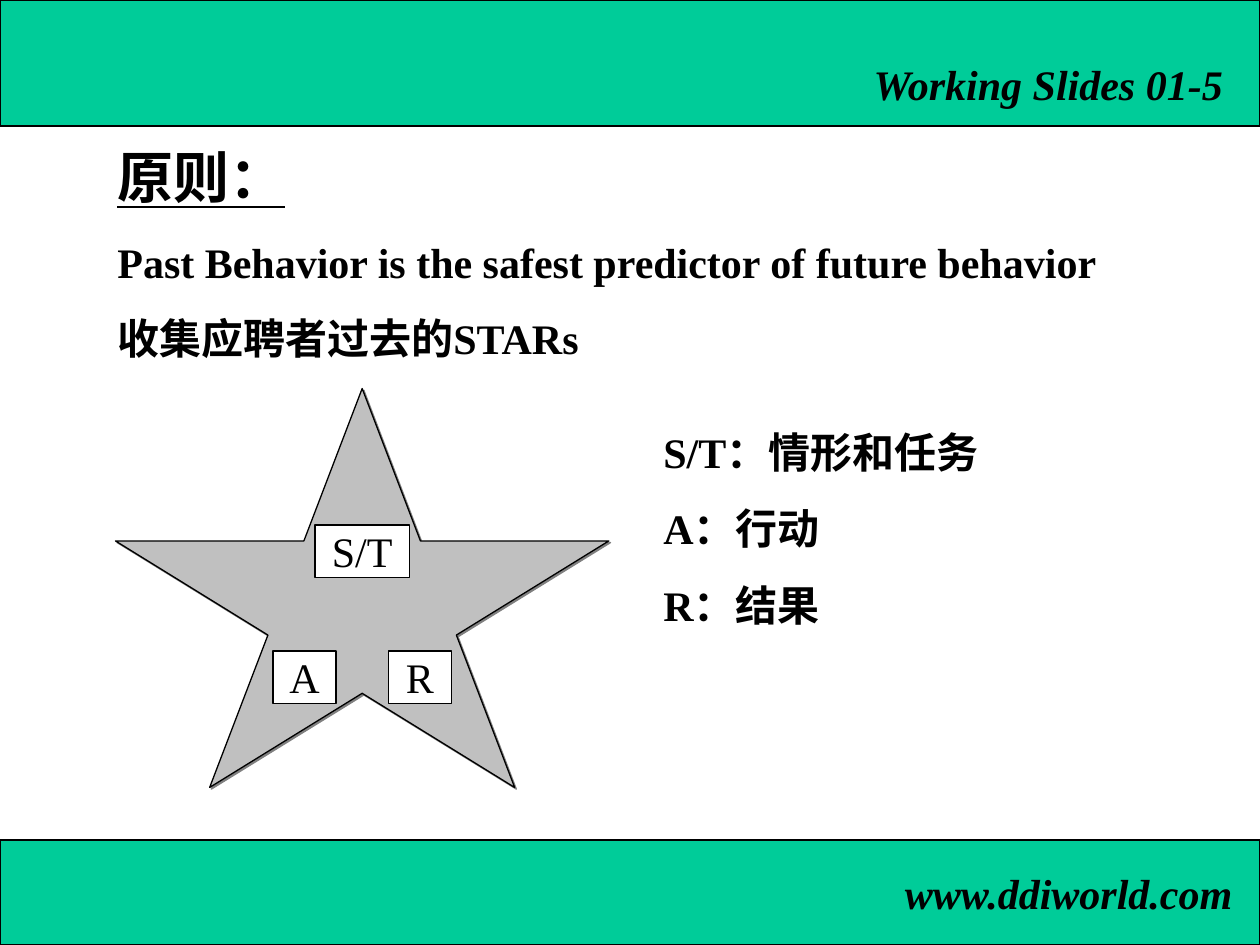
from lxml import etree
from pptx import Presentation
from pptx.dml.color import RGBColor
from pptx.enum import shapes, text
from pptx.oxml import ns
from pptx.util import Pt

GREEN = RGBColor(0x00, 0xCC, 0x99)
SILVER = RGBColor(0xC0, 0xC0, 0xC0)
WHITE = RGBColor(0xFF, 0xFF, 0xFF)
BLACK = RGBColor(0x00, 0x00, 0x00)
SHADOW_GRAY = RGBColor(0x80, 0x80, 0x80)

TYPEFACE = "Times New Roman"
BASE = {"name": TYPEFACE, "size": Pt(24), "bold": False}
STRONG = {**BASE, "bold": True}
BANNER = {**STRONG, "italic": True}
HEADING = {**STRONG, "size": Pt(32), "underline": True}


def set_attributes(target, values):
    for name, value in values.items():
        setattr(target, name, value)


def place(part, box):
    set_attributes(part, dict(zip(("left", "top", "width", "height"), map(Pt, box))))


def add_figure(slide, kind, box, fill):
    figure = slide.shapes.add_shape(kind, *map(Pt, box))
    figure.shadow.inherit = False
    figure.fill.solid()
    figure.fill.fore_color.rgb = fill
    figure.line.color.rgb = BLACK
    figure.line.width = Pt(0.75)
    return figure


def write(frame, lines, align=text.PP_ALIGN.LEFT):
    for index, (words, style) in enumerate(lines):
        paragraph = frame.paragraphs[0] if index == 0 else frame.add_paragraph()
        paragraph.alignment = align
        paragraph.space_before = Pt(15 if index else 0)
        run = paragraph.add_run()
        run.text = words
        set_attributes(run.font, style)
        run.font.color.rgb = BLACK


def fill_text(holder, lines):
    set_attributes(holder.text_frame, {
        "word_wrap": True,
        "auto_size": text.MSO_AUTO_SIZE.SHAPE_TO_FIT_TEXT,
        "vertical_anchor": text.MSO_ANCHOR.TOP,
    })
    write(holder.text_frame, lines)


def add_text(slide, box, lines):
    fill_text(slide.shapes.add_textbox(*map(Pt, box)), lines)


def add_title(slide, box, words):
    title = slide.shapes.title
    slide.shapes._spTree.append(title._element)
    place(title, box)
    fill_text(title, [(words, BANNER)])


def add_star(slide, box):
    star = add_figure(slide, shapes.MSO_SHAPE.STAR_5_POINT, box, SILVER)
    effects = star._element.spPr.find(ns.qn("a:effectLst"))
    shadow = etree.SubElement(effects, ns.qn("a:outerShdw"), dist=str(Pt(1.4)),
                              dir="2700000", algn="ctr", rotWithShape="0")
    etree.SubElement(shadow, ns.qn("a:srgbClr"), val=str(SHADOW_GRAY))


def add_label(slide, box, words):
    label = add_figure(slide, shapes.MSO_SHAPE.RECTANGLE, box, WHITE)
    set_attributes(label.text_frame, {
        "word_wrap": False,
        "vertical_anchor": text.MSO_ANCHOR.MIDDLE,
    })
    write(label.text_frame, [(words, BASE)], text.PP_ALIGN.CENTER)


def main():
    deck = Presentation()
    deck.slide_width, deck.slide_height = Pt(720), Pt(540)
    slide = deck.slides.add_slide(deck.slide_layouts[5])

    add_figure(slide, shapes.MSO_SHAPE.RECTANGLE, (0, 0, 720, 72), GREEN)
    add_title(slide, (492, 30, 216, 36), "Working Slides 01-5")
    add_figure(slide, shapes.MSO_SHAPE.RECTANGLE, (0, 480, 720, 60), GREEN)
    add_text(slide, (510, 492, 210, 36), [("www.ddiworld.com", BANNER)])

    add_text(slide, (60, 78, 600, 177), [
        ("原则：", HEADING),
        ("Past Behavior is the safest predictor of future behavior", STRONG),
        ("收集应聘者过去的STARs", STRONG),
    ])

    add_star(slide, (66, 222, 282, 228))
    for words, left, top, width in (("S/T", 180, 300, 54), ("A", 156, 372, 36), ("R", 222, 372, 36)):
        add_label(slide, (left, top, width, 30), words)

    meanings = ("S/T：情形和任务", "A：行动", "R：结果")
    add_text(slide, (372, 240, 258, 124), [(meaning, STRONG) for meaning in meanings])

    deck.save("out.pptx")


if __name__ == "__main__":
    main()
